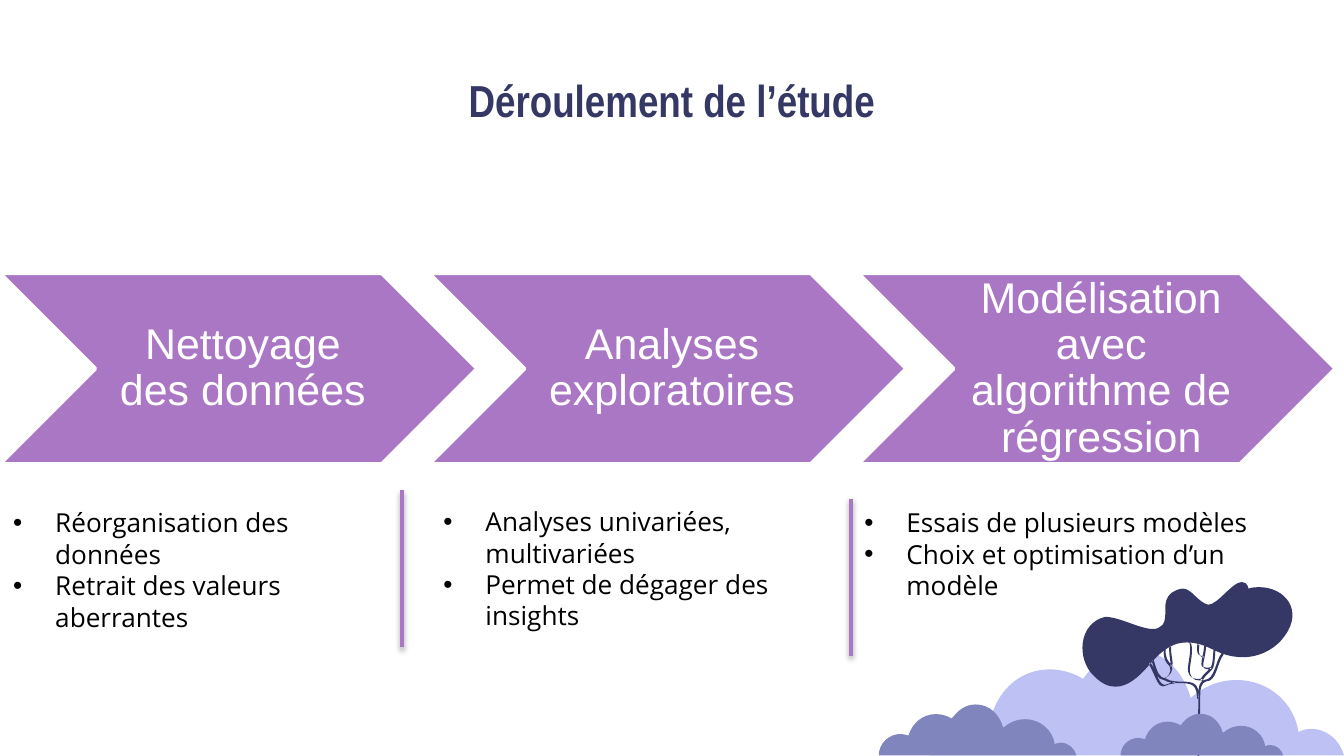
from lxml.etree import SubElement
from pptx import Presentation
from pptx.dml.color import RGBColor
from pptx.enum.shapes import MSO_CONNECTOR, MSO_SHAPE
from pptx.enum.text import MSO_ANCHOR, MSO_AUTO_SIZE, PP_ALIGN
from pptx.oxml.ns import qn
from pptx.util import Pt

COLORS = {
    "navy": "353864", "purple": "AA77C5", "lilac": "BDC1F3",
    "slate": "8085BD", "white": "FFFFFF", "black": "000000",
}
TITLE = "Déroulement de l’étude"
# heading, bullets, bullet box (left, top, width, height)
STEPS = [
    ("Nettoyage des données",
     ["Réorganisation des données", "Retrait des valeurs aberrantes"],
     (0, 268, 215.3, 75)),
    ("Analyses exploratoires",
     ["Analyses univariées, multivariées", "Permet de dégager des insights"],
     (230.5, 267.4, 225.4, 75)),
    ("Modélisation avec algorithme de régression",
     ["Essais de plusieurs modèles", "Choix et optimisation d’un modèle"],
     (456, 268, 259.2, 58.3)),
]
DIVIDERS = [(215.3, 262.6), (455.8, 267.1)]
DIVIDER_HEIGHT = 84.3
CHEVRON_LEFT, CHEVRON_TOP, CHEVRON_PITCH = 0, 146.4, 229.9
CHEVRON_WIDTH, CHEVRON_HEIGHT = 255.6, 102.2

# Curves: a start point, then (control, control, end) for each Bézier segment.
CLOUD = [  # within a unit square
    (0.49, 0),
    (0.56, 0, 0.61, 0.19, 0.63, 0.46), (0.66, 0.35, 0.7, 0.29, 0.74, 0.29),
    (0.82, 0.29, 0.88, 0.51, 0.89, 0.78), (0.9, 0.76, 0.91, 0.75, 0.92, 0.75),
    (0.96, 0.75, 0.99, 0.86, 1, 1), (1, 1, 0, 1, 0, 1),
    (0, 0.77, 0.05, 0.58, 0.11, 0.58), (0.12, 0.58, 0.14, 0.6, 0.15, 0.61),
    (0.17, 0.37, 0.22, 0.19, 0.29, 0.19), (0.32, 0.19, 0.35, 0.23, 0.37, 0.28),
    (0.4, 0.11, 0.44, 0, 0.49, 0),
]
BACK_CLOUD = (498.2, 347.8, 221.8, 56.9)
FRONT_CLOUDS = [(470.8, 377.4, 105.9, 27.3), (600.3, 382.4, 87.1, 22.3)]
CANOPY = [
    (665.3, 311.8),
    (660.2, 311.8, 652.3, 324, 647.3, 324),
    (641.5, 322.6, 638.6, 315.4, 633.6, 315.4),
    (632.2, 315.4, 630, 316.1, 627.8, 317.5),
    (621.4, 322.6, 626.4, 329.8, 622.8, 334.8),
    (621.4, 336.2, 619.9, 337, 617.8, 337),
    (610.6, 337, 599.8, 330.5, 592, 330.5),
    (577.4, 334.1, 576.7, 353.5, 586.1, 362.2),
    (590.4, 366.5, 594, 367.9, 597.6, 367.9),
    (604.1, 367.9, 609.8, 362.9, 614.9, 357.1),
    (620.6, 350.6, 626.4, 344.2, 635.8, 344.2),
    (648, 344.2, 651.6, 352.1, 666, 352.1),
    (674.6, 352.1, 683.3, 347.8, 688.3, 340.6),
    (698.4, 326.9, 688.3, 314.6, 674.6, 314.6),
    (672.5, 314.6, 671, 314.6, 668.9, 315.4),
    (668.2, 312.5, 666.7, 311.8, 665.3, 311.8),
]
TRUNK_X = 642
BRANCHES = [
    [(641.4, 404.6), (641.4, 396, 642, 385, 642, 372),
     (642, 368, 642.6, 365, 645.1, 364.3), (651, 364.3, 651, 354, 654.5, 350)],
    [(641.4, 374.4), (641, 367, 639, 366, 632, 366),
     (630, 366, 626, 366, 623.5, 364.3), (620, 364, 619, 361, 617, 354.2)],
    [(615.4, 355.7), (619, 362, 620, 367.7, 623, 367.7),
     (624.5, 367.7, 626, 366.2, 629, 366.2)],
    [(623.5, 348.5), (623.1, 353, 624.6, 355, 626.6, 357),
     (628.1, 360, 625.6, 363, 622.8, 364.2)],
    [(626.4, 346.5), (626.1, 352, 627.6, 355, 627.1, 357.5)],
    [(637.2, 344.2), (638.6, 350, 635.6, 357, 636.6, 360),
     (637.6, 364, 640.6, 364, 643.6, 363.6)],
    [(641.5, 345), (640.6, 351, 642.6, 351.5, 644.4, 351.5)],
    [(645.1, 345.6), (645.1, 350, 642.6, 356, 644.1, 357.2),
     (645.6, 358.2, 647.6, 357.7, 648.3, 357.5)],
    [(650.1, 347.8), (649.6, 355, 649.6, 356, 648.3, 358),
     (646.6, 360, 644.6, 361, 643.1, 364)],
]


def color(name):
    return RGBColor.from_string(COLORS[name])


def set_font(paragraph, name, size, color_name, bold=False):
    font = paragraph.font
    font.name, font.size, font.bold = name, Pt(size), bold
    font.color.rgb = color(color_name)


def curve_points(curve):
    """List the start, control and end points of a curve in order."""
    numbers = [number for part in curve for number in part]
    return list(zip(numbers[::2], numbers[1::2]))


def branch_outline(branch):
    """Go along a branch and back beside it, so that it can be filled."""
    points = curve_points(branch)
    lean = 0.8 if points[-1][0] > TRUNK_X else -0.8
    back = [(x + 1, y + lean) for x, y in reversed(points)]
    turn = [points[-1], back[0], back[0]]
    return points + turn + back[1:]


def add_curved_shape(slide, outlines, color_name, box=(0, 0, 1, 1)):
    """Fill Bézier outlines, scaled into box, as one shape."""
    left, top, width, height = box
    builder = None
    for outline in outlines:
        points = [(Pt(left + x * width), Pt(top + y * height)) for x, y in outline]
        if builder is None:
            builder = slide.shapes.build_freeform(*points[0])
        else:
            builder.move_to(*points[0])
        builder.add_line_segments(points[1:], close=True)
    shape = builder.convert_to_shape()
    lines = list(shape._element.iter(qn("a:lnTo")))
    for first, second, third in zip(lines[::3], lines[1::3], lines[2::3]):
        first.tag = qn("a:cubicBezTo")
        for line in (second, third):
            first.append(line[0])
            line.getparent().remove(line)
    shape.shadow.inherit = False
    shape.fill.solid()
    shape.fill.fore_color.rgb = color(color_name)
    shape.line.fill.background()


def add_landscape(slide):
    cloud = [curve_points(CLOUD)]
    add_curved_shape(slide, cloud, "lilac", BACK_CLOUD)
    tree = [curve_points(CANOPY)] + [branch_outline(branch) for branch in BRANCHES]
    add_curved_shape(slide, tree, "navy")
    for box in FRONT_CLOUDS:
        add_curved_shape(slide, cloud, "slate", box)


def format_title(title):
    title.left, title.top, title.width, title.height = Pt(56.4), Pt(31.7), Pt(607), Pt(38.2)
    frame = title.text_frame
    frame.text = TITLE
    frame.auto_size = MSO_AUTO_SIZE.NONE
    frame.vertical_anchor = MSO_ANCHOR.TOP
    frame.margin_left = frame.margin_right = frame.margin_top = frame.margin_bottom = Pt(7.2)
    frame.paragraphs[0].alignment = PP_ALIGN.CENTER
    set_font(frame.paragraphs[0], "Arial Narrow", 24, "navy", bold=True)


def add_chevron(slide, index, heading):
    shape = slide.shapes.add_shape(
        MSO_SHAPE.CHEVRON, Pt(CHEVRON_LEFT + index * CHEVRON_PITCH), Pt(CHEVRON_TOP),
        Pt(CHEVRON_WIDTH), Pt(CHEVRON_HEIGHT))
    shape.shadow.inherit = False
    shape.fill.solid()
    shape.fill.fore_color.rgb = color("purple")
    shape.line.color.rgb = color("white")
    shape.line.width = Pt(2)
    frame = shape.text_frame
    frame.text = heading
    frame.word_wrap = True
    frame.vertical_anchor = MSO_ANCHOR.MIDDLE
    frame.margin_left = Pt(7.2)
    frame.margin_right = frame.margin_top = frame.margin_bottom = Pt(2.2)
    paragraph = frame.paragraphs[0]
    paragraph.alignment = PP_ALIGN.CENTER
    paragraph.line_spacing = 0.9
    set_font(paragraph, "Arial", 23, "white")


def add_bullets(slide, bullets, box):
    frame = slide.shapes.add_textbox(*map(Pt, box)).text_frame
    frame.word_wrap = True
    frame.auto_size = MSO_AUTO_SIZE.SHAPE_TO_FIT_TEXT
    frame.text = "\n".join(bullets)
    for paragraph in frame.paragraphs:
        set_font(paragraph, "Open Sans", 14, "black")
        properties = paragraph._p.get_or_add_pPr()
        properties.set("marL", str(Pt(22.5)))
        properties.set("indent", str(-Pt(22.5)))
        properties.insert(0, properties.makeelement(qn("a:buFont"), {"typeface": "Arial"}))
        properties.insert(1, properties.makeelement(qn("a:buChar"), {"char": "•"}))


def add_divider(slide, x, top):
    line = slide.shapes.add_connector(
        MSO_CONNECTOR.STRAIGHT, Pt(x), Pt(top), Pt(x), Pt(top + DIVIDER_HEIGHT))
    line.line.color.rgb = color("purple")
    line.line.width = Pt(2)
    effects = SubElement(line._element.spPr, qn("a:effectLst"))
    shadow = SubElement(effects, qn("a:outerShdw"), blurRad=str(Pt(3.1)),
                        dist=str(Pt(1.6)), dir="5400000", rotWithShape="0")
    shade = SubElement(shadow, qn("a:srgbClr"), val=COLORS["black"])
    SubElement(shade, qn("a:alpha"), val="38000")


def main():
    presentation = Presentation()
    presentation.slide_width, presentation.slide_height = Pt(720), Pt(405)
    slide = presentation.slides.add_slide(presentation.slide_layouts[5])
    format_title(slide.shapes.title)
    add_landscape(slide)
    for index, (heading, bullets, box) in enumerate(STEPS):
        add_chevron(slide, index, heading)
        add_bullets(slide, bullets, box)
    for x, top in DIVIDERS:
        add_divider(slide, x, top)
    presentation.save("out.pptx")


if __name__ == "__main__":
    main()
